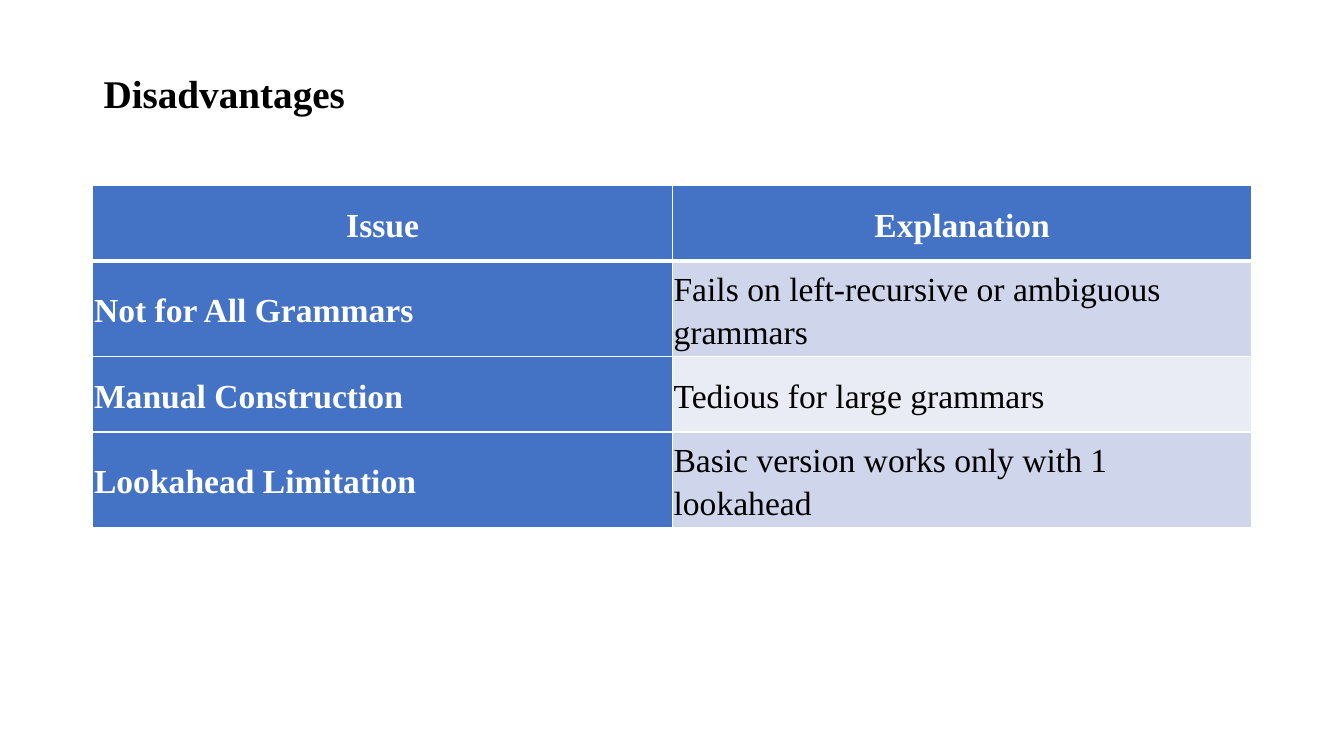
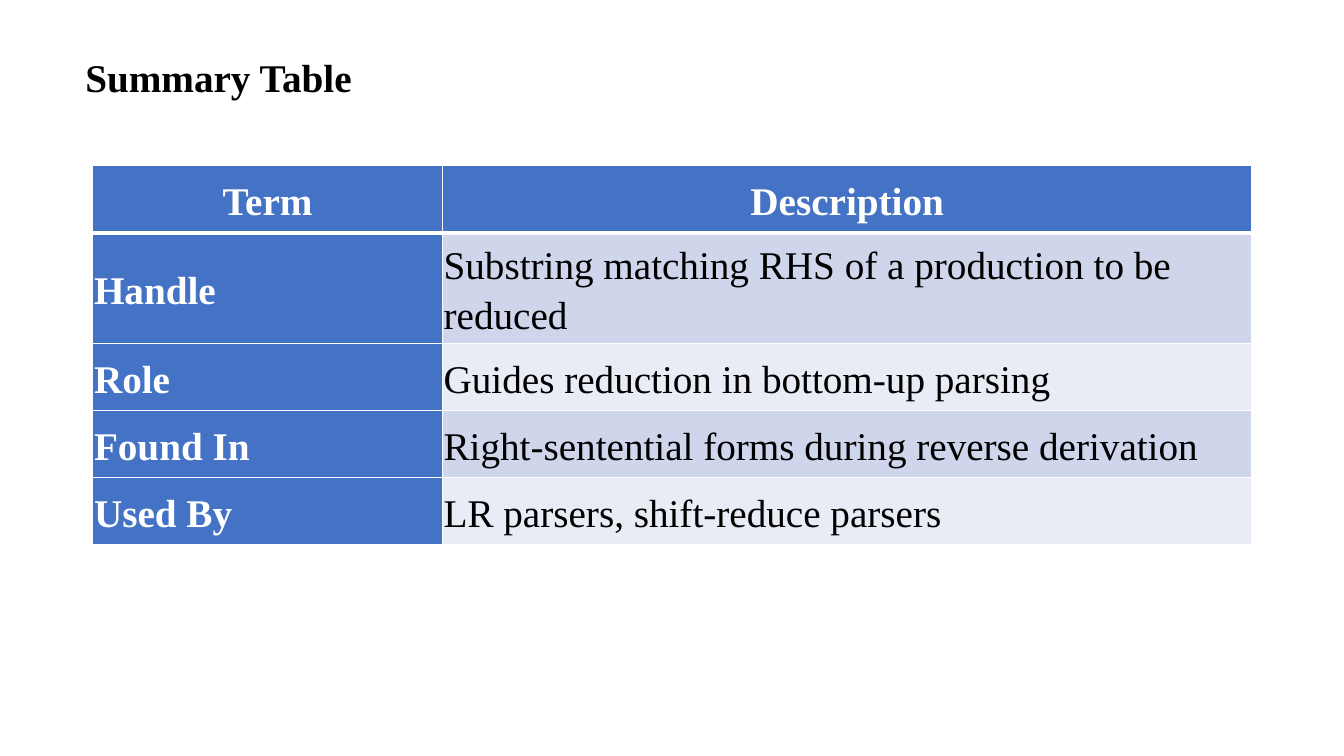
from dataclasses import dataclass

from lxml.etree import SubElement
from pptx import Presentation
from pptx.dml.color import RGBColor
from pptx.enum.text import MSO_ANCHOR as Anchor, MSO_AUTO_SIZE as AutoSize, PP_ALIGN as Align
from pptx.oxml.ns import qn
from pptx.util import Cm, Pt


@dataclass(frozen=True)
class Theme:
    font: str = "Times New Roman"
    ink: str = "000000"
    paper: str = "FFFFFF"
    accent: str = "4472C4"
    bands: tuple = ("CFD5EA", "E9EBF5")
    title_size: int = 28
    rule: int = 1
    header_rule: int = 3


THEME = Theme()
TABLE_LEFT, TABLE_WIDTH = 2.34, 29.21
CELL_INSET = 0.03
LOOSE = {"line_spacing": 1.15, "space_after": 8}

# Positions, widths and heights are in centimetres.
SLIDES = [
    {
        "title": "Disadvantages",
        "title_box": (2.36, 1.45, 16.94, 1.55),
        "title_spacing": LOOSE,
        "table_top": 4.67,
        "first_column": TABLE_WIDTH / 2,
        "row_height": 1.91,
        "text_size": 24,
        "rows": [
            ("Issue", "Explanation"),
            ("Not for All Grammars", "Fails on left-recursive or ambiguous grammars"),
            ("Manual Construction", "Tedious for large grammars"),
            ("Lookahead Limitation", "Basic version works only with 1 lookahead"),
        ],
    },
    {
        "title": "Summary Table",
        "title_box": (1.9, 1.22, 16.94, 1.45),
        "title_spacing": {},
        "table_top": 4.18,
        "first_column": 8.81,
        "row_height": 1.69,
        "text_size": 28,
        "rows": [
            ("Term", "Description"),
            ("Handle", "Substring matching RHS of a production to be reduced"),
            ("Role", "Guides reduction in bottom-up parsing"),
            ("Found In", "Right-sentential forms during reverse derivation"),
            ("Used By", "LR parsers, shift-reduce parsers"),
        ],
    },
]


def write_text(frame, text, *, size, color=THEME.ink, bold=False, align=Align.LEFT,
               line_spacing=None, space_after=None):
    paragraph = frame.paragraphs[0]
    paragraph.alignment = align
    if line_spacing is not None:
        paragraph.line_spacing = line_spacing
    if space_after is not None:
        paragraph.space_after = Pt(space_after)
    run = paragraph.add_run()
    run.text = text
    run.font.name = THEME.font
    run.font.size = Pt(size)
    run.font.bold = bold
    run.font.color.rgb = RGBColor.from_string(color)


def add_title(slide, text, box, spacing):
    frame = slide.shapes.add_textbox(*map(Cm, box)).text_frame
    frame.word_wrap = True
    frame.auto_size = AutoSize.SHAPE_TO_FIT_TEXT
    write_text(frame, text, size=THEME.title_size, bold=True, **spacing)


def set_borders(cell, **widths):
    """Draw the cell's borders; call before its fill, as the schema puts lines first."""
    properties = cell._tc.get_or_add_tcPr()
    for side in "LRTB":
        width = widths.get(side, THEME.rule)
        line = SubElement(properties, qn(f"a:ln{side}"), w=str(Pt(width)))
        fill = SubElement(line, qn("a:solidFill"))
        SubElement(fill, qn("a:srgbClr"), val=THEME.paper)


def format_cell(cell, text, row, column, size):
    is_header = row == 0
    is_label = is_header or column == 0
    heavy_side = {0: {"B": THEME.header_rule}, 1: {"T": THEME.header_rule}}
    set_borders(cell, **heavy_side.get(row, {}))
    cell.fill.solid()
    band = THEME.bands[(row - 1) % len(THEME.bands)]
    cell.fill.fore_color.rgb = RGBColor.from_string(THEME.accent if is_label else band)
    cell.vertical_anchor = Anchor.MIDDLE
    cell.margin_left = cell.margin_right = Cm(CELL_INSET)
    cell.margin_top = cell.margin_bottom = Cm(CELL_INSET)
    write_text(cell.text_frame, text, size=size, bold=is_label,
               color=THEME.paper if is_label else THEME.ink,
               align=Align.CENTER if is_header else Align.LEFT, **LOOSE)


def add_table(slide, rows, top, first_column, row_height, size):
    widths = (first_column, TABLE_WIDTH - first_column)
    table = slide.shapes.add_table(
        len(rows), len(widths), Cm(TABLE_LEFT), Cm(top),
        Cm(TABLE_WIDTH), Cm(row_height * len(rows))).table
    table.first_col = True
    for column, width in zip(table.columns, widths):
        column.width = Cm(width)
    for row, texts in enumerate(rows):
        table.rows[row].height = Cm(row_height)
        for column, text in enumerate(texts):
            format_cell(table.cell(row, column), text, row, column, size)


def main():
    presentation = Presentation()
    presentation.slide_width, presentation.slide_height = Cm(33.87), Cm(19.05)
    blank = presentation.slide_layouts[6]
    for content in SLIDES:
        slide = presentation.slides.add_slide(blank)
        add_title(slide, content["title"], content["title_box"], content["title_spacing"])
        add_table(slide, content["rows"], content["table_top"], content["first_column"],
                  content["row_height"], content["text_size"])
    presentation.save("out.pptx")


if __name__ == "__main__":
    main()
